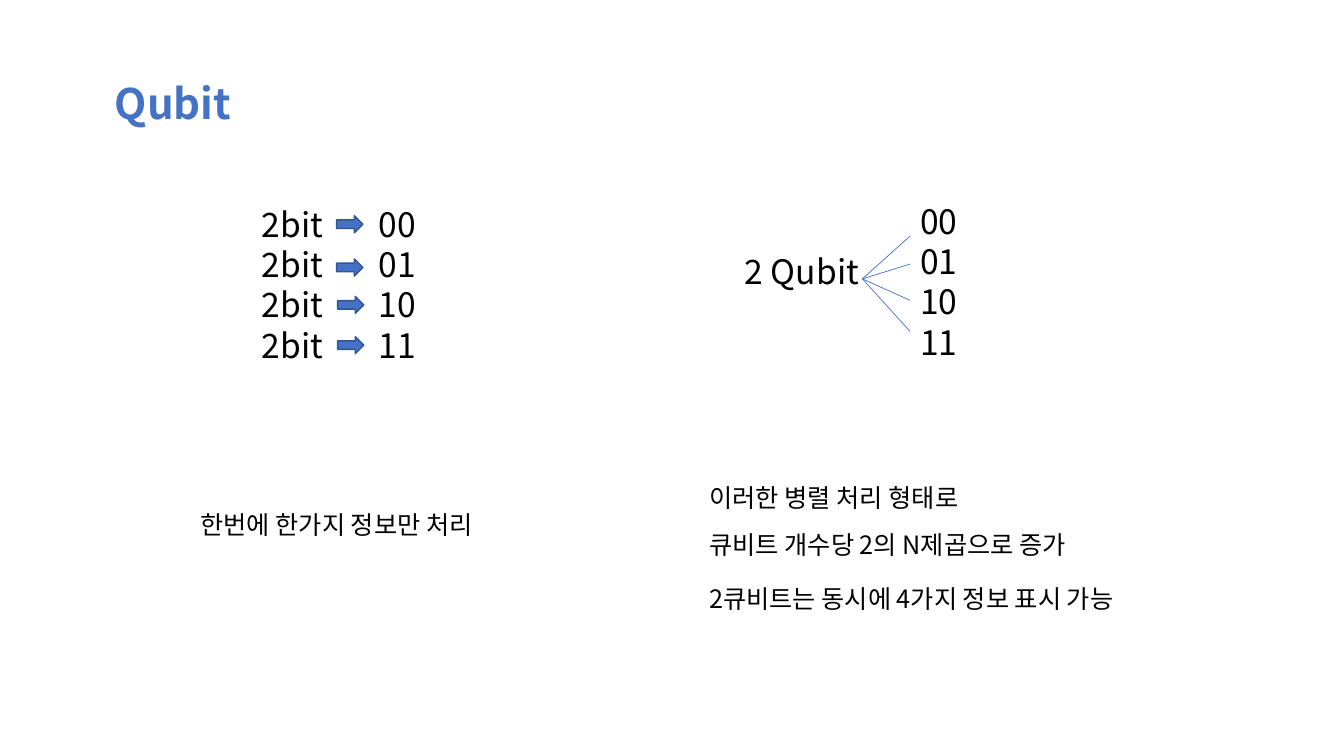
from lxml import etree
from pptx import Presentation
from pptx.dml.color import RGBColor
from pptx.enum.shapes import MSO_CONNECTOR, MSO_SHAPE
from pptx.enum.text import MSO_ANCHOR, MSO_AUTO_SIZE, PP_ALIGN
from pptx.oxml.ns import qn
from pptx.util import Pt

RIGHT_ARROW = MSO_SHAPE.RIGHT_ARROW
STRAIGHT = MSO_CONNECTOR.STRAIGHT
TOP, LEFT = MSO_ANCHOR.TOP, PP_ALIGN.LEFT
NO_AUTOFIT = MSO_AUTO_SIZE.NONE

# Content
FONT = "Noto Sans CJK KR"
BLUE, DARK_BLUE, BLACK = "4472C4", "325491", "000000"
TITLE = "Qubit"
STATES = ["00", "01", "10", "11"]
# Lines, left, top, width, height, text size
TEXTS = [
    (STATES, 263.5, 141.8, 236.2, 123.8, 24),
    (["2bit"] * len(STATES), 180, 141.8, 69.8, 123.8, 24),
    (["한번에 한가지 정보만 처리"], 136.1, 360, 246.2, 28.8, 18),
    (["2 Qubit"], 524.9, 175.7, 100.1, 36, 24),
    (STATES, 650.2, 139.7, 75.6, 123.8, 24),
    (["이러한 병렬 처리 형태로", "큐비트 개수당 2의 N제곱으로 증가"],
     499.7, 340.6, 446, 63.4, 18),
    (["2큐비트는 동시에 4가지 정보 표시 가능"], 499.7, 413.3, 355.7, 28.8, 18),
]
ARROWS = [(240.5, 154.1), (240.5, 185), (241.2, 211.7), (241.2, 240.5)]
ARROW_W, ARROW_H = 18.7, 12.2
FAN_START = (616, 199.2)
FAN_END_X = 650.2
FAN_END_YS = [168.5, 188.6, 214.6, 236.9]


def rgb(color):
    return RGBColor.from_string(color)


def write(shape, lines, size, color=BLACK, bold=False, gap=0):
    tf = shape.text_frame
    tf.word_wrap = True
    tf.auto_size = NO_AUTOFIT
    tf.vertical_anchor = TOP
    for i, line in enumerate(lines):
        p = tf.add_paragraph() if i else tf.paragraphs[0]
        p.alignment = LEFT
        p.line_spacing = Pt(size * 1.2)
        p.space_before = Pt(gap if i else 0)
        r = p.add_run()
        r.text = line
        r.font.name, r.font.size, r.font.bold = FONT, Pt(size), bold
        r.font.color.rgb = rgb(color)
        ea = etree.SubElement(r.font._element, qn("a:ea"))
        ea.set("typeface", FONT)


prs = Presentation()
prs.slide_width, prs.slide_height = Pt(960), Pt(540)
s = prs.slides.add_slide(prs.slide_layouts[5])

# Title
title = s.shapes.title
title.left, title.top, title.width, title.height = map(Pt, (74.9, 51.8, 378, 43.9))
write(title, [TITLE], 30, color=BLUE, bold=True)

# Bit and qubit lists with their captions
for lines, x, y, w, h, size in TEXTS:
    box = s.shapes.add_textbox(Pt(x), Pt(y), Pt(w), Pt(h))
    write(box, lines, size, gap=12.5 if size == 18 else 0)

# Arrows from each bit pair to its single state
for x, y in ARROWS:
    arrow = s.shapes.add_shape(RIGHT_ARROW, Pt(x), Pt(y), Pt(ARROW_W), Pt(ARROW_H))
    arrow.shadow.inherit = False
    arrow.fill.solid()
    arrow.fill.fore_color.rgb = rgb(BLUE)
    arrow.line.color.rgb = rgb(DARK_BLUE)
    arrow.line.width = Pt(1)

# Fan from the qubits to all states
for y in FAN_END_YS:
    ray = s.shapes.add_connector(STRAIGHT, *map(Pt, (*FAN_START, FAN_END_X, y)))
    ray.line.color.rgb = rgb(BLUE)
    ray.line.width = Pt(0.5)
    etree.SubElement(ray._element.spPr, qn("a:effectLst"))

prs.save("out.pptx")
